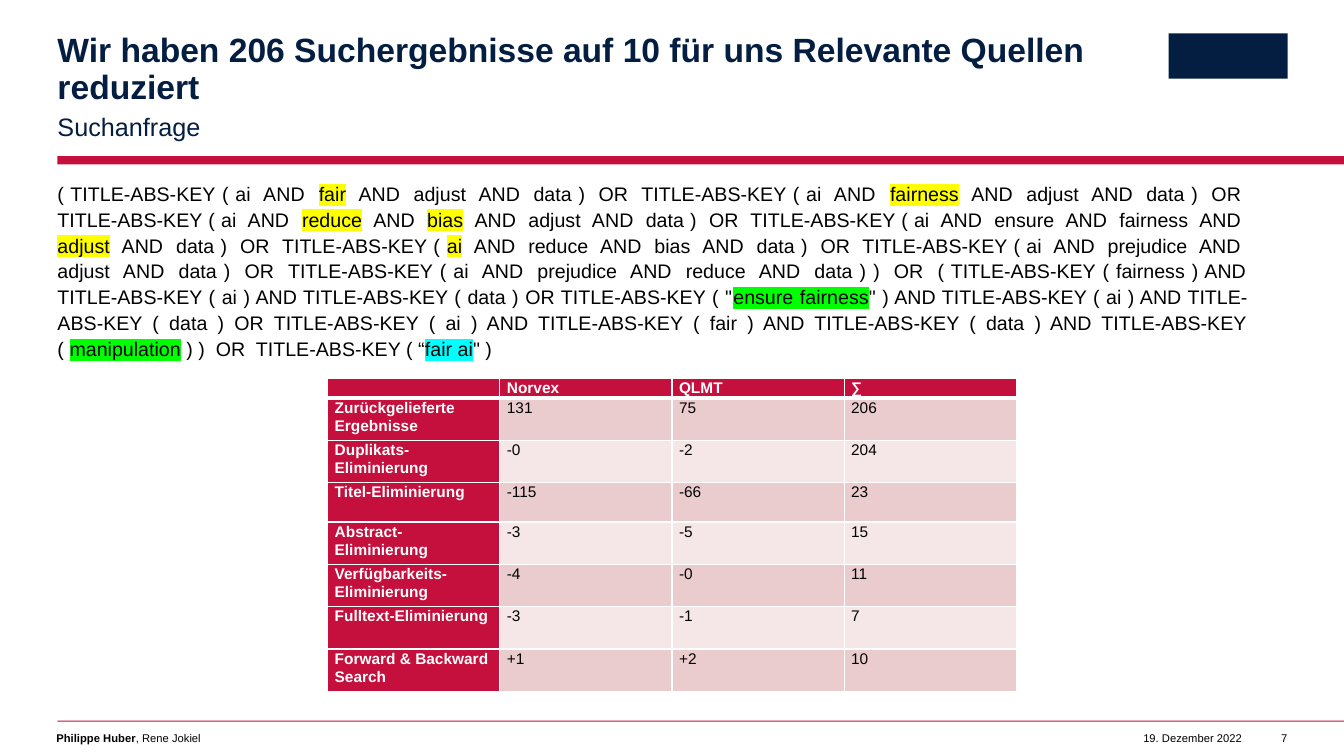
from dataclasses import dataclass

from lxml import etree
from pptx import Presentation
from pptx.dml.color import RGBColor
from pptx.enum.shapes import MSO_SHAPE
from pptx.enum.text import MSO_ANCHOR, MSO_AUTO_SIZE, PP_ALIGN
from pptx.oxml.ns import qn
from pptx.util import Inches, Pt

RECTANGLE = MSO_SHAPE.RECTANGLE
TOP, MIDDLE = MSO_ANCHOR.TOP, MSO_ANCHOR.MIDDLE
LEFT, RIGHT, JUSTIFY = PP_ALIGN.LEFT, PP_ALIGN.RIGHT, PP_ALIGN.JUSTIFY
NO_AUTOFIT = MSO_AUTO_SIZE.NONE


@dataclass(frozen=True)
class Theme:
    font: str = "Arial"
    navy: str = "041E42"
    red: str = "C50F3C"
    black: str = "000000"
    white: str = "FFFFFF"
    bands: tuple = ("EACCCE", "F5E7E8")
    yellow: str = "FFFF00"
    green: str = "00FF00"
    cyan: str = "00FFFF"
    title_size: int = 24
    subtitle_size: int = 18
    body_size: int = 14
    table_size: int = 11
    footer_size: int = 8


THEME = Theme()

# Search query: (text, highlight colour or None)
QUERY = [
    ("( TITLE-ABS-KEY ( ai  AND  ", None),
    ("fair", THEME.yellow),
    ("  AND  adjust  AND  data )  OR  TITLE-ABS-KEY ( ai  AND  ", None),
    ("fairness", THEME.yellow),
    ("  AND  adjust  AND  data )  OR  TITLE-ABS-KEY ( ai  AND  ", None),
    ("reduce", THEME.yellow),
    ("  AND  ", None),
    ("bias", THEME.yellow),
    ("  AND  adjust  AND  data )  OR  TITLE-ABS-KEY ( ai  AND  ensure  AND  fairness  AND  ", None),
    ("adjust", THEME.yellow),
    ("  AND  data )  OR  TITLE-ABS-KEY ( ", None),
    ("ai", THEME.yellow),
    ("  AND  reduce  AND  bias  AND  data )  OR  TITLE-ABS-KEY ( ai  AND  prejudice  AND  "
     "adjust  AND  data )  OR  TITLE-ABS-KEY ( ai  AND  prejudice  AND  reduce  AND  data ) )"
     "  OR  ( TITLE-ABS-KEY ( fairness ) AND TITLE-ABS-KEY ( ai ) AND TITLE-ABS-KEY ( data )"
     " OR TITLE-ABS-KEY ( \"", None),
    ("ensure fairness", THEME.green),
    ("\" ) AND TITLE-ABS-KEY ( ai ) AND TITLE-ABS-KEY ( data ) OR TITLE-ABS-KEY ( ai ) AND "
     "TITLE-ABS-KEY ( fair ) AND TITLE-ABS-KEY ( data ) AND TITLE-ABS-KEY ( ", None),
    ("manipulation", THEME.green),
    (" ) )  OR  TITLE-ABS-KEY ( “", None),
    ("fair ai", THEME.cyan),
    ("\" )", None),
]

RESULTS = [
    ("", "Norvex", "QLMT", "∑"),
    ("Zurückgelieferte Ergebnisse", "131", "75", "206"),
    ("Duplikats-Eliminierung", "-0", "-2", "204"),
    ("Titel-Eliminierung", "-115", "-66", "23"),
    ("Abstract-Eliminierung", "-3", "-5", "15"),
    ("Verfügbarkeits-Eliminierung", "-4", "-0", "11"),
    ("Fulltext-Eliminierung", "-3", "-1", "7"),
    ("Forward & Backward Search", "+1", "+2", "10"),
]
ROW_HEIGHTS = [0.2, 0.42, 0.42, 0.39, 0.42, 0.42, 0.42, 0.42]


def apply(target, values):
    for name, value in values.items():
        setattr(target, name, value)


class SlideBuilder:
    def __init__(self, slide, theme):
        self.slide = slide
        self.theme = theme

    def place(self, shape, left, top, width, height):
        apply(shape, {"left": Inches(left), "top": Inches(top),
                      "width": Inches(width), "height": Inches(height)})

    def add_span(self, para, text, size, color, bold=False, highlight=None):
        span = para.add_run()
        span.text = text
        apply(span.font, {"name": self.theme.font, "size": Pt(size), "bold": bold})
        span.font.color.rgb = RGBColor.from_string(color)
        if highlight:
            mark = etree.Element(qn("a:highlight"))
            etree.SubElement(mark, qn("a:srgbClr"), val=highlight)
            span.font._element.find(qn("a:solidFill")).addnext(mark)

    def frame(self, shape, anchor=TOP, right_inset=0, wrap=True):
        apply(shape.text_frame, {
            "margin_left": 0, "margin_top": 0, "margin_bottom": 0,
            "margin_right": Inches(right_inset), "vertical_anchor": anchor,
            "word_wrap": wrap, "auto_size": NO_AUTOFIT})
        return shape.text_frame.paragraphs[0]

    def placeholder(self, index, area, spans, size, color, bold=False, anchor=MIDDLE,
                    align=LEFT, right_inset=0.39, line=1.1, after=12):
        shape = self.slide.placeholders[index]
        self.place(shape, *area)
        para = self.frame(shape, anchor, right_inset)
        apply(para, {"alignment": align, "line_spacing": line,
                     "space_before": Pt(0), "space_after": Pt(after)})
        properties = para._p.get_or_add_pPr()
        properties.set("marL", "0")
        properties.set("indent", "0")
        etree.SubElement(properties, qn("a:buNone"))
        for text, highlight in spans:
            self.add_span(para, text, size, color, bold, highlight)

    def bar(self, area, color):
        shape = self.slide.shapes.add_shape(RECTANGLE, *map(Inches, area))
        shape.shadow.inherit = False
        shape.fill.solid()
        shape.fill.fore_color.rgb = RGBColor.from_string(color)
        shape.line.fill.background()

    def footer(self, area, spans, align=LEFT, wrap=True):
        box = self.slide.shapes.add_textbox(*map(Inches, area))
        para = self.frame(box, wrap=wrap)
        para.alignment = align
        for text, bold in spans:
            self.add_span(para, text, self.theme.footer_size, self.theme.black, bold)

    def cell_borders(self, cell, widths):
        properties = cell._tc.get_or_add_tcPr()
        for position, (side, width) in enumerate(widths.items()):
            border = etree.Element(qn(f"a:ln{side}"), w=str(Pt(width)))
            fill = etree.SubElement(border, qn("a:solidFill"))
            etree.SubElement(fill, qn("a:srgbClr"), val=self.theme.white)
            properties.insert(position, border)

    def table(self, area, rows, heights):
        theme = self.theme
        table = self.slide.shapes.add_table(len(rows), len(rows[0]), *map(Inches, area)).table
        for column in table.columns:
            column.width = Inches(area[2] / len(rows[0]))
        for r, (texts, height) in enumerate(zip(rows, heights)):
            table.rows[r].height = Inches(height)
            for c, text in enumerate(texts):
                heading = r == 0 or c == 0
                cell = table.cell(r, c)
                apply(cell, {"margin_left": Inches(0.07), "margin_right": Inches(0.07),
                             "margin_top": 0, "margin_bottom": 0})
                cell.fill.solid()
                color = theme.red if heading else theme.bands[(r - 1) % 2]
                cell.fill.fore_color.rgb = RGBColor.from_string(color)
                self.cell_borders(cell, {"L": 1, "R": 1, "T": 3 if r == 1 else 1,
                                         "B": 3 if r == 0 else 1})
                para = cell.text_frame.paragraphs[0]
                apply(para, {"line_spacing": 1.07, "space_after": Pt(8)})
                if text:
                    self.add_span(para, text, theme.table_size,
                                  theme.white if heading else theme.black, heading)
                else:
                    etree.SubElement(para._p, qn("a:endParaRPr"), sz=str(theme.table_size * 100))


def main():
    deck = Presentation()
    apply(deck, {"slide_width": Inches(13.33), "slide_height": Inches(7.5)})
    page = SlideBuilder(deck.slides.add_slide(deck.slide_layouts[3]), THEME)

    # Rules and plain emblem block
    page.bar((0.57, 1.55, 12.76, 0.08), THEME.red)
    page.bar((0.57, 7.15, 12.76, 0.01), THEME.red)
    page.bar((11.59, 0.33, 1.18, 0.45), THEME.navy)

    # Title, subtitle and query
    page.placeholder(0, (0.57, 0.33, 10.47, 0.73),
                     [("Wir haben 206 Suchergebnisse auf 10 für uns Relevante Quellen reduziert", None)],
                     THEME.title_size, THEME.navy, bold=True, right_inset=0, line=0.9, after=0)
    page.placeholder(1, (0.57, 1.08, 10.47, 0.31), [("Suchanfrage", None)],
                     THEME.subtitle_size, THEME.navy)
    page.placeholder(2, (0.57, 1.78, 12.2, 5), QUERY, THEME.body_size, THEME.black,
                     anchor=TOP, align=JUSTIFY)

    # Result counts
    page.table((3.25, 3.75, 6.83, sum(ROW_HEIGHTS)), RESULTS, ROW_HEIGHTS)

    # Footer
    page.footer((0.56, 7.26, 10.47, 0.13), [("Philippe Huber", True), (", Rene Jokiel", False)])
    page.footer((11.39, 7.26, 0.93, 0.13), [("19. Dezember 2022", False)], RIGHT, wrap=False)
    page.footer((12.56, 7.26, 0.21, 0.13), [("7", False)], RIGHT, wrap=False)

    deck.save("out.pptx")


if __name__ == "__main__":
    main()
